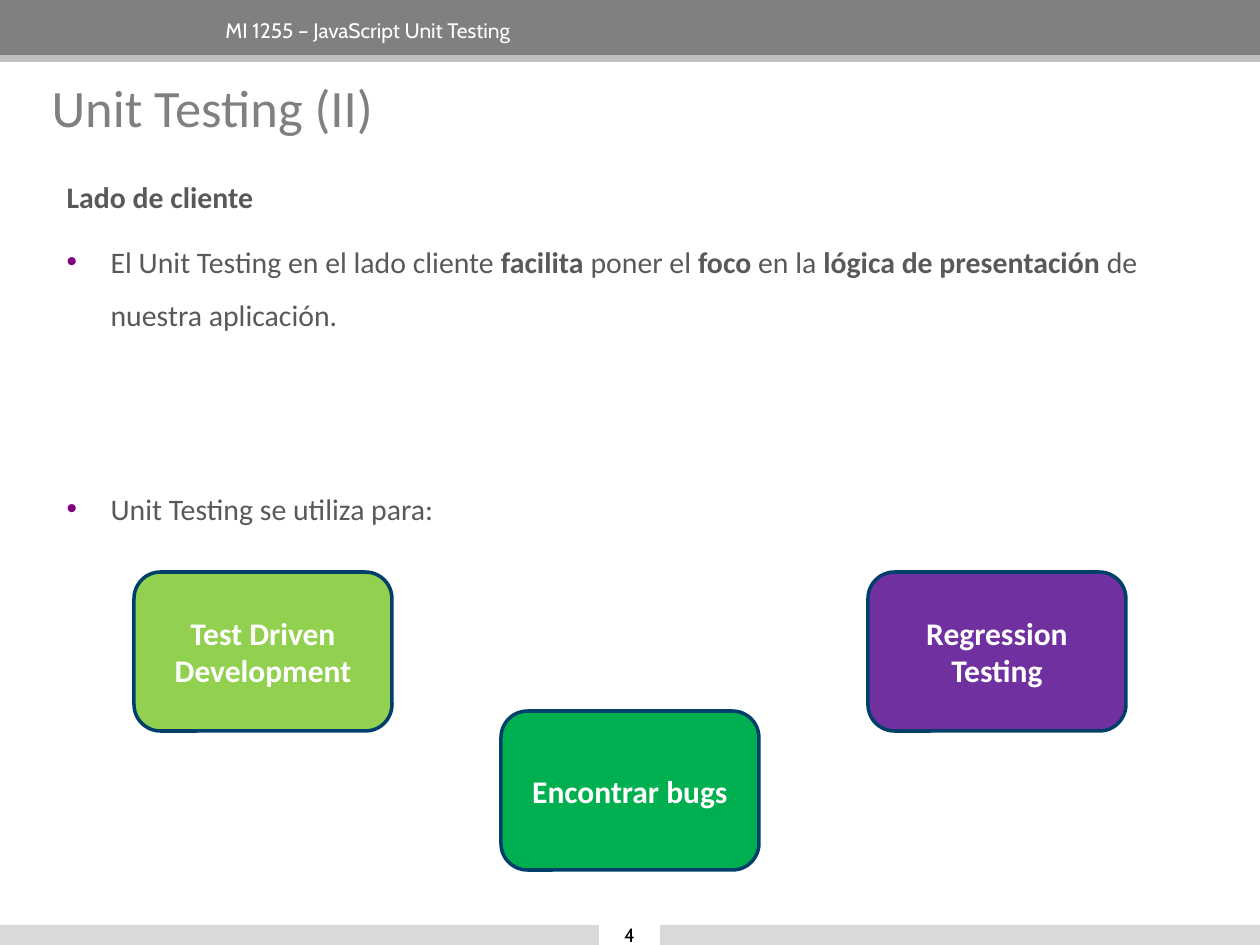
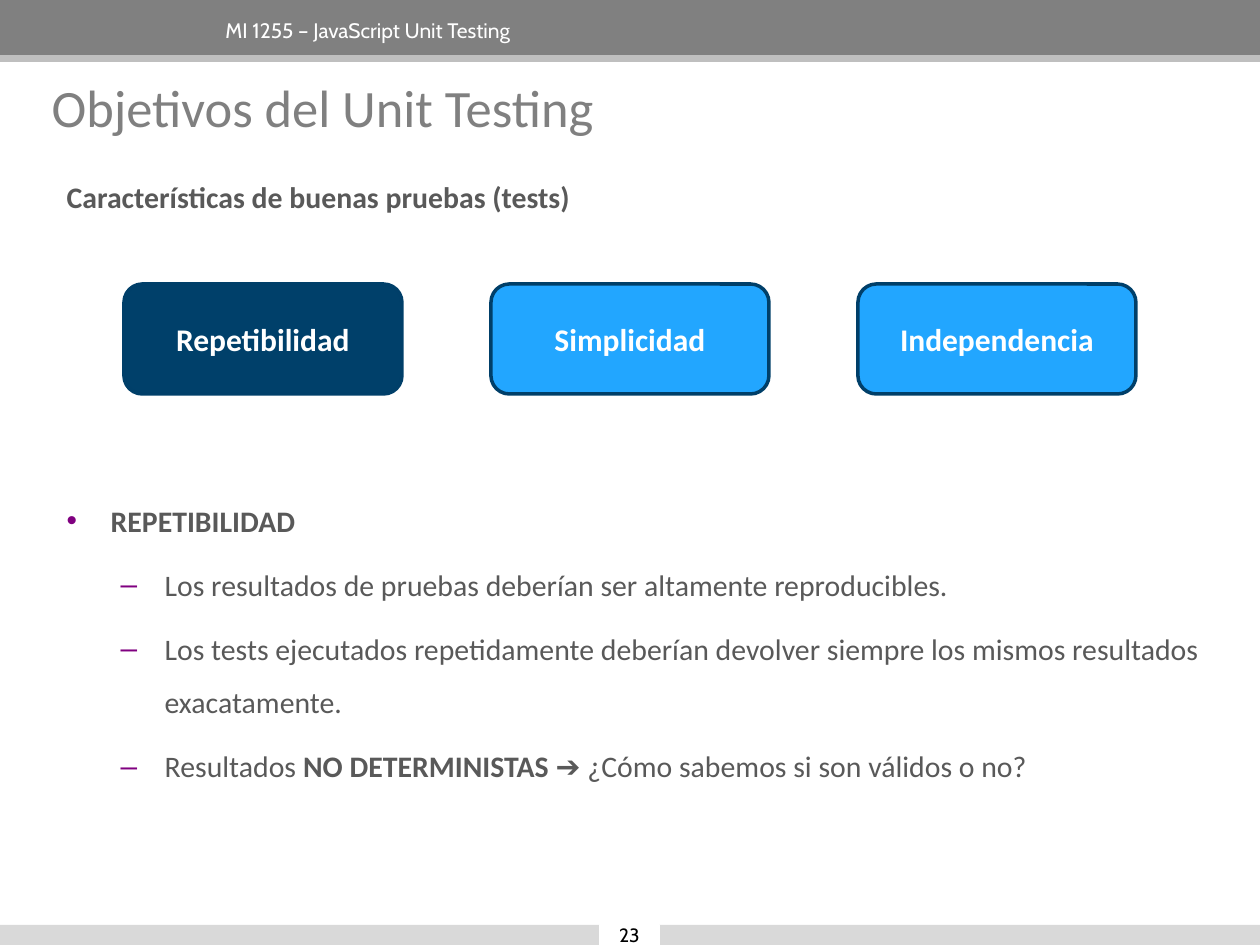
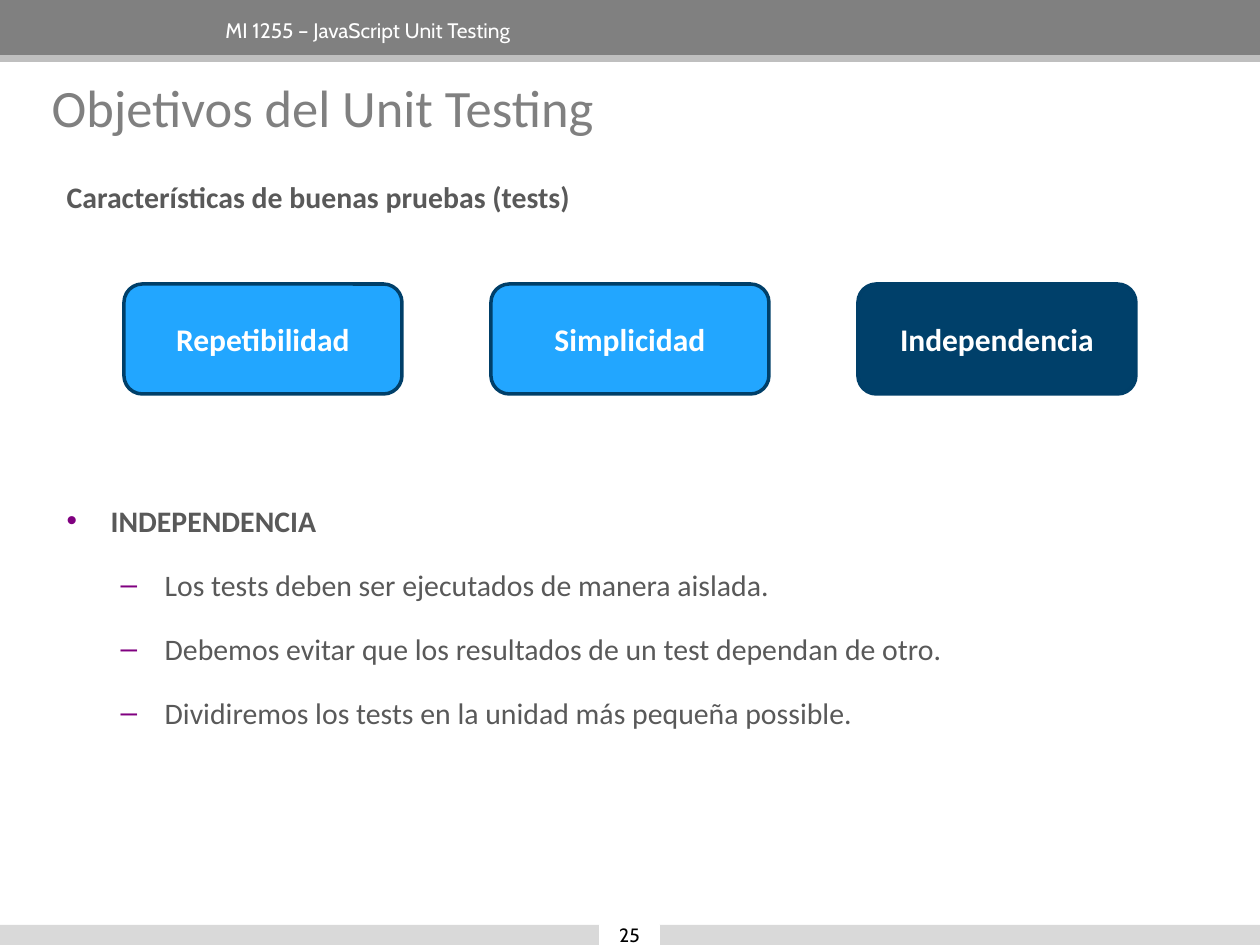
from lxml import etree
from pptx import Presentation
from pptx import util as u
from pptx.dml.color import RGBColor
from pptx.enum import shapes, text
from pptx.oxml.ns import qn

PX = 914400 // 126
W, H = 1260, 945
GREY, SILVER, PALE, INK = "808080", "BFBFBF", "D9D9D9", "595959"
WHITE, BLACK, PURPLE = "FFFFFF", "000000", "800080"
NAVY, SKY, EDGE = "00406A", "22A6FF", "003F69"
HEAD_FONT, BODY_FONT = "Cabin", "Calibri"
RECT, ROUND = shapes.MSO_SHAPE.RECTANGLE, shapes.MSO_SHAPE.ROUNDED_RECTANGLE
TOP, MIDDLE = text.MSO_ANCHOR.TOP, text.MSO_ANCHOR.MIDDLE
LEFT, CENTER = text.PP_ALIGN.LEFT, text.PP_ALIGN.CENTER
BULLETS = {0: ("•", 44), 1: ("–", 98)}
HANG = 44


def px(*lengths):
    return [n * PX for n in lengths]


def rgb(color):
    return RGBColor.from_string(color)


def write(p, words, size, color, font=BODY_FONT, bold=False, align=LEFT,
          before=0, after=0, spacing=1.0):
    p.alignment, p.line_spacing = align, spacing
    p.space_before, p.space_after = u.Pt(before), u.Pt(after)
    for i, part in enumerate(words.split("**")):
        if part:
            r = p.add_run()
            r.text = part
            r.font.name, r.font.size = font, u.Pt(size)
            r.font.bold = bold or i % 2 == 1
            r.font.color.rgb = rgb(color)


def set_bullet(p, level=None):
    pPr = p._p.get_or_add_pPr()
    if level is None:
        pPr.set("marL", "0")
        pPr.set("indent", "0")
        etree.SubElement(pPr, qn("a:buNone"))
        return
    char, margin = BULLETS[level]
    p.level = level
    pPr.set("marL", str(margin * PX))
    pPr.set("indent", str(-HANG * PX))
    clr = etree.SubElement(pPr, qn("a:buClr"))
    etree.SubElement(clr, qn("a:srgbClr"), val=PURPLE)
    etree.SubElement(pPr, qn("a:buFont"), typeface="Arial")
    etree.SubElement(pPr, qn("a:buChar"), char=char)


def add_box(s, kind, box, fill, line=None, weight=1):
    sp = s.shapes.add_shape(kind, *px(*box))
    sp.shadow.inherit = False
    sp.fill.solid()
    sp.fill.fore_color.rgb = rgb(fill)
    if line:
        sp.line.color.rgb = rgb(line)
        sp.line.width = u.Pt(weight)
    else:
        sp.line.fill.background()
    sp.text_frame.vertical_anchor = MIDDLE
    return sp


def place(sp, box, anchor=TOP):
    sp.left, sp.top, sp.width, sp.height = px(*box)
    tf = sp.text_frame
    tf.word_wrap, tf.auto_size = True, text.MSO_AUTO_SIZE.NONE
    tf.vertical_anchor = anchor
    return tf


def build_master(prs, s):
    bands = [add_box(s, RECT, (0, y, W, h), fill) for y, h, fill in
             ((0, 55, GREY), (55, 7, SILVER), (H - 20, 20, PALE))]
    course = s.shapes.add_textbox(*px(213, 11, 896, 39))
    course.text_frame.word_wrap = True
    write(course.text_frame.paragraphs[0], "MI 1255 – JavaScript Unit Testing",
          12, WHITE, HEAD_FONT)
    tree = prs.slide_master.shapes.element
    for i, sp in enumerate(bands + [course]):
        sp.element.nvSpPr.cNvPr.id = 20 + i
        tree.insert(2 + i, sp.element)


def add_title(s, title, box):
    write(place(s.shapes.title, box).paragraphs[0], title, 30, GREY)


def add_body(s, heading, items, box):
    tf = place(s.placeholders[1], box)
    set_bullet(tf.paragraphs[0])
    write(tf.paragraphs[0], heading, 17, INK, bold=True, after=6, spacing=1.5)
    for level, before, words in items:
        p = tf.add_paragraph()
        set_bullet(p, level)
        write(p, words, 17, INK, before=before, after=6, spacing=1.5)


def add_number(s, number, box):
    sp = add_box(s, RECT, box, WHITE, WHITE, 0.75)
    write(sp.text_frame.paragraphs[0], str(number), 11, BLACK, HEAD_FONT,
          align=CENTER)


def add_cards(s, cards, box, pitch, drops=(0, 0, 0)):
    x, y, w, h = box
    for i, ((label, fill), drop) in enumerate(zip(cards, drops)):
        sp = add_box(s, ROUND, (x + i * pitch, y + drop, w, h), fill, EDGE, 2)
        write(sp.text_frame.paragraphs[0], label, 18, WHITE, bold=True,
              align=CENTER)


def add_page(s, title, number, heading, items):
    add_title(s, title, (39, 69, 1201, 80))
    add_number(s, number, (600, H - 20, 59, 20))
    add_body(s, heading, items, (54, 155, 1173, 730))


def client_slide(s):
    add_page(s, "Unit Testing (II)", 4, "Lado de cliente", [
        (0, 0, "El Unit Testing en el lado cliente **facilita **poner el "
               "**foco **en la **lógica de presentación** de nuestra "
               "aplicación."),
        (0, 74, "Unit Testing se utiliza para:")])
    add_cards(s, [("Test Driven Development", "92D050"),
                  ("Encontrar bugs", "00B050"),
                  ("Regression Testing", "7030A0")],
              (134, 572, 258, 159), 367, (0, 139, 0))


def quality_slide(s, number, current, points):
    items = [(0, 148, f"**{current.upper()}**")]
    items += [(1, 0, point) for point in points]
    add_page(s, "Objetivos del Unit Testing", number,
             "Características de buenas pruebas (tests)", items)
    names = ("Repetibilidad", "Simplicidad", "Independencia")
    add_cards(s, [(n, NAVY if n == current else SKY) for n in names],
              (124, 284, 278, 110), 367)


def main():
    prs = Presentation()
    prs.slide_width, prs.slide_height = px(W, H)
    client, repeatable, independent = [
        prs.slides.add_slide(prs.slide_layouts[1]) for _ in range(3)]
    build_master(prs, client)
    client_slide(client)
    quality_slide(repeatable, 23, "Repetibilidad", [
        "Los resultados de pruebas deberían ser altamente reproducibles.",
        "Los tests ejecutados repetidamente deberían devolver siempre los "
        "mismos resultados exacatamente.",
        "Resultados **NO DETERMINISTAS ➔ **¿Cómo sabemos si son válidos o no?"])
    quality_slide(independent, 25, "Independencia", [
        "Los tests deben ser ejecutados de manera aislada.",
        "Debemos evitar que los resultados de un test dependan de otro.",
        "Dividiremos los tests en la unidad más pequeña possible."])
    prs.save("out.pptx")


if __name__ == "__main__":
    main()
